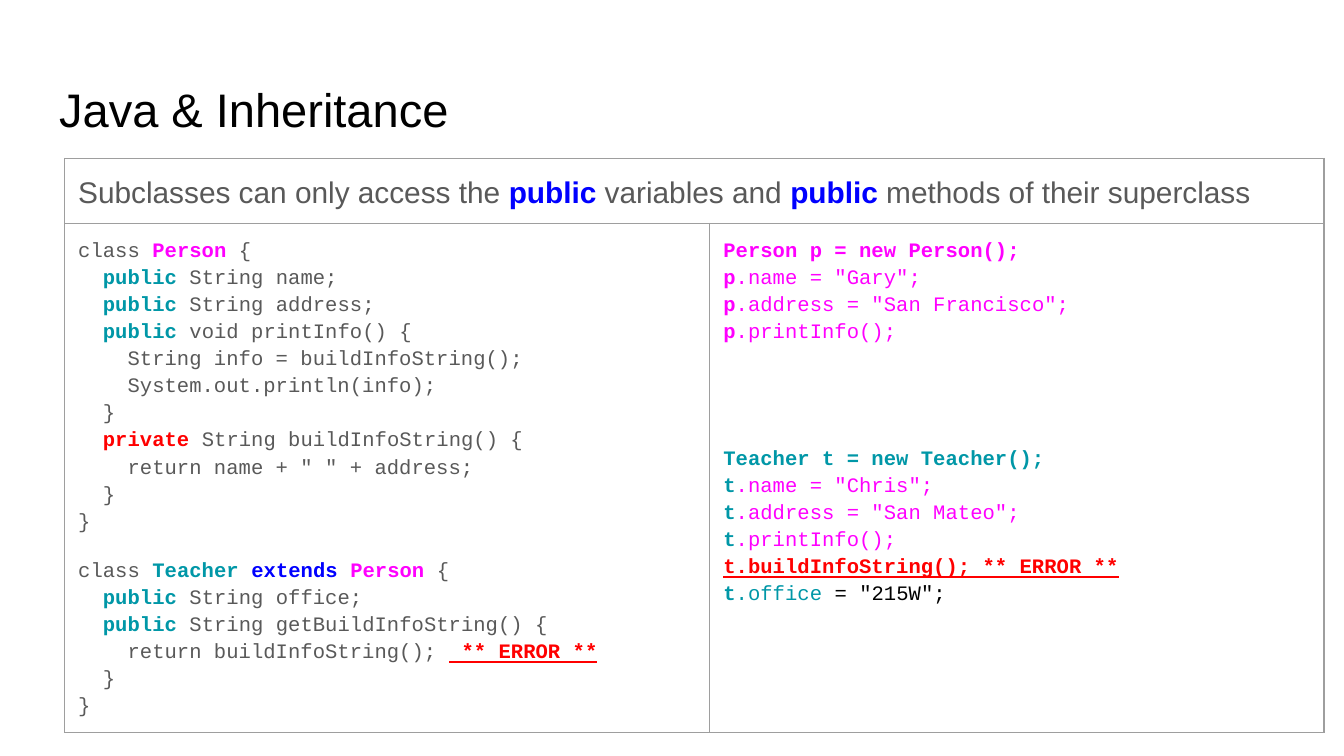
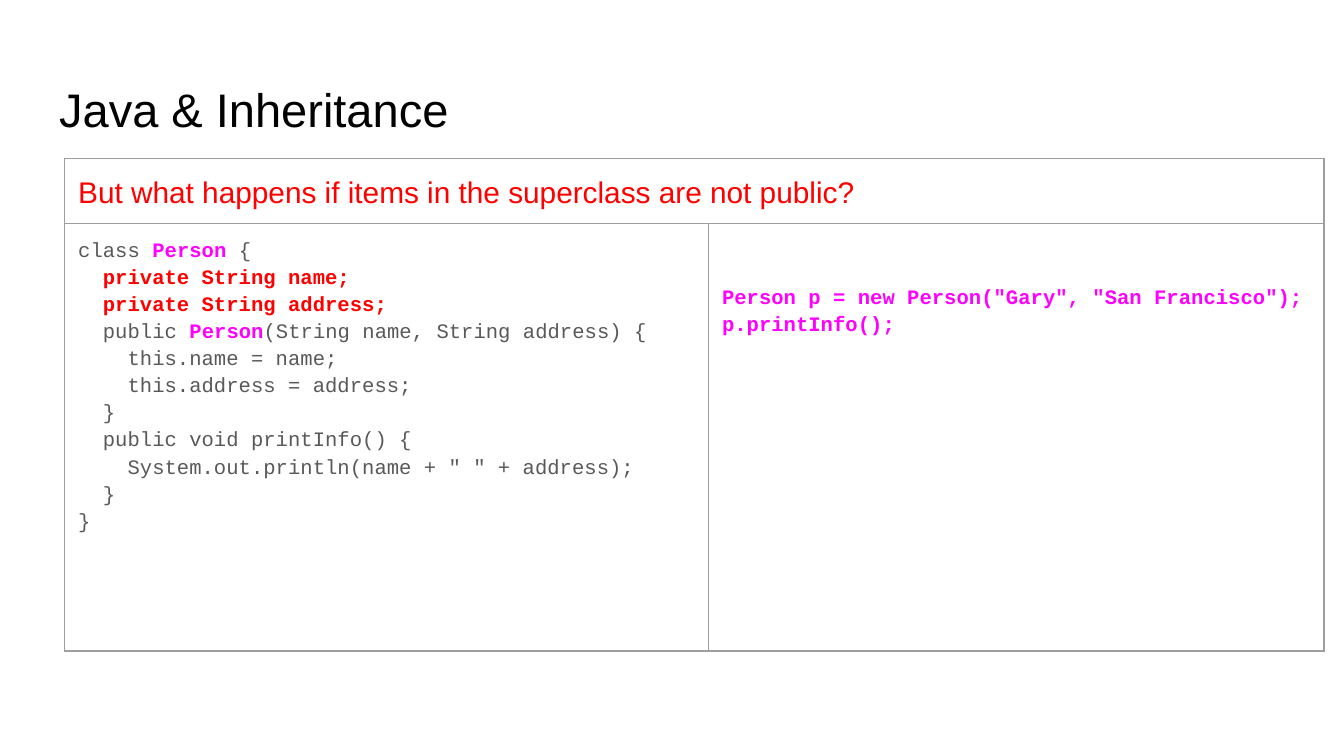
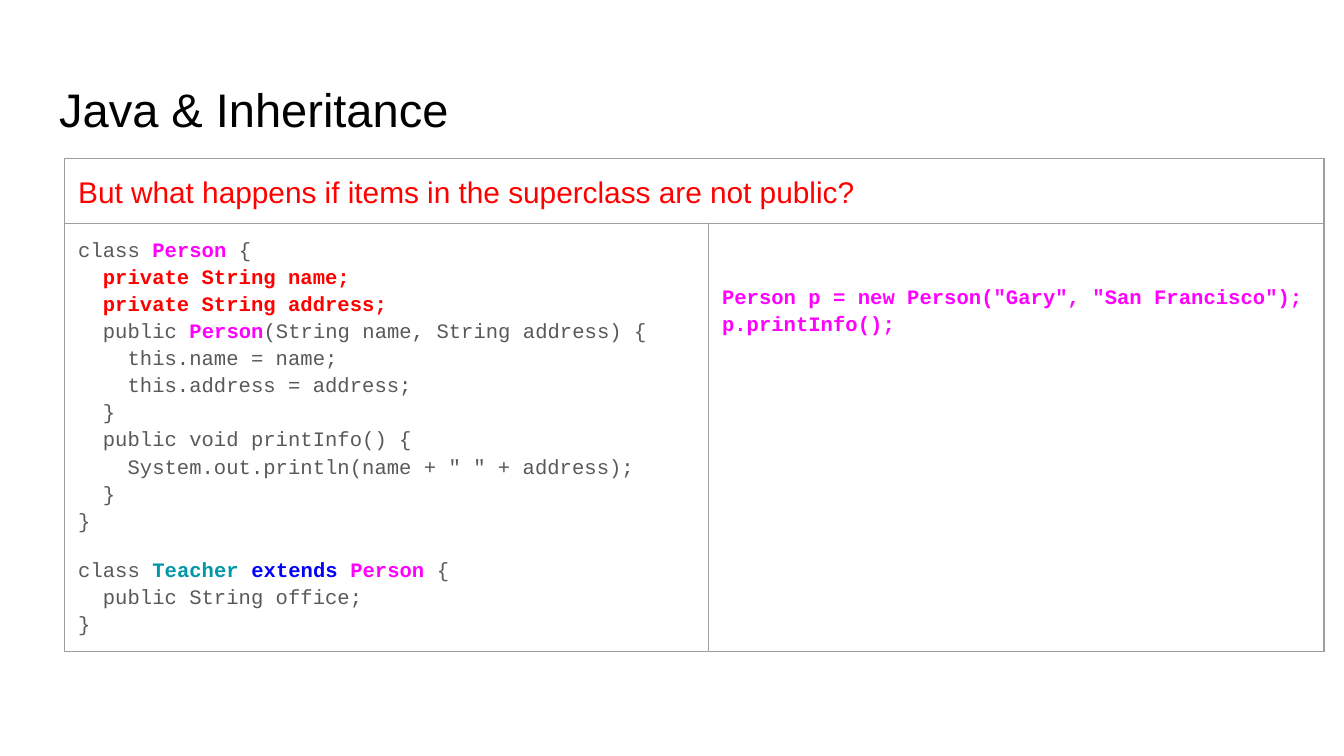
from copy import deepcopy

from lxml import etree
from pptx import Presentation
from pptx.dml.color import RGBColor
from pptx.enum.text import MSO_ANCHOR, MSO_AUTO_SIZE, PP_ALIGN
from pptx.oxml.ns import qn
from pptx.util import Pt

MIDDLE, TOP = MSO_ANCHOR.MIDDLE, MSO_ANCHOR.TOP
LEFT, FIXED = PP_ALIGN.LEFT, MSO_AUTO_SIZE.NONE

# Colours and fonts
GREY = RGBColor(0x59, 0x59, 0x59)
BLUE = RGBColor(0x00, 0x00, 0xFF)
PINK = RGBColor(0xFF, 0x00, 0xFF)
TEAL = RGBColor(0x00, 0x97, 0xA7)
RED = RGBColor(0xFF, 0x00, 0x00)
BLACK = RGBColor(0x00, 0x00, 0x00)
RULE = RGBColor(0x9E, 0x9E, 0x9E)
SANS, MONO = "Arial", "Courier New"
INSET = Pt(7.2)

# Text looks: colour, then bold and underline
LOOKS = {
    "grey": (GREY, {"bold": False}),
    "black": (BLACK, {"bold": False}),
    "red": (RED, {"bold": False}),
    "pink": (PINK, {"bold": False}),
    "teal": (TEAL, {"bold": False}),
    "Blue": (BLUE, {"bold": True}),
    "Pink": (PINK, {"bold": True}),
    "Teal": (TEAL, {"bold": True}),
    "Red": (RED, {"bold": True}),
    "Error": (RED, {"bold": True, "underline": True}),
}


def write(cell, paras, face, size):
    """Fill a cell with (space before, runs) paragraphs."""
    frame = cell.text_frame
    for i, (gap, runs) in enumerate(paras):
        para = frame.paragraphs[0] if i == 0 else frame.add_paragraph()
        para.line_spacing = 1.15
        para.space_before = Pt(gap)
        para.space_after = Pt(12 if i == len(paras) - 1 else 0)
        for look, text in runs:
            color, marks = LOOKS[look]
            for n, line in enumerate(text.split("\n")):
                if n:
                    para.add_line_break()
                    para._p[-1].append(deepcopy(run._r.rPr))
                    if not line:
                        continue
                run = para.add_run()
                run.text = line
                run.font.color.rgb = color
                for key, value in {"name": face, "size": Pt(size), **marks}.items():
                    setattr(run.font, key, value)


def frame_cell(cell):
    """Rule all four sides of a cell and clear its fill."""
    props = cell._tc.get_or_add_tcPr()
    for side in ("lnL", "lnR", "lnT", "lnB"):
        edge = etree.SubElement(props, qn("a:" + side), w=str(Pt(0.75)))
        fill = etree.SubElement(edge, qn("a:solidFill"))
        etree.SubElement(fill, qn("a:srgbClr"), val=str(RULE))
    cell.fill.background()
    for side in ("left", "right", "top", "bottom"):
        setattr(cell, "margin_" + side, INSET)
    cell.vertical_anchor = TOP


# Code on the first slide
open_person = [
    ("grey", "class "), ("Pink", "Person"), ("grey", " {\n  "),
    ("Teal", "public"), ("grey", " String name;\n  "),
    ("Teal", "public"), ("grey", " String address;\n  "),
    ("Teal", "public"),
    ("grey", """ void printInfo() {
    String info = buildInfoString();
    System.out.println(info);
  }
  """),
    ("Red", "private"),
    ("grey", """ String buildInfoString() {
    return name + " " + address;
  }
}"""),
]
extend = [("grey", "class "), ("Teal", "Teacher "), ("Blue", "extends "),
          ("Pink", "Person")]
full_teach = extend + [
    ("grey", " {\n  "), ("Teal", "public"), ("grey", " String office;\n  "),
    ("Teal", "public"),
    ("grey", " String getBuildInfoString() {\n    return buildInfoString(); "),
    ("Error", " ** ERROR **"), ("grey", "\n  }\n}"),
]
use_person = [
    ("Pink", "Person p = new Person();\np"), ("pink", '.name = "Gary";\n'),
    ("Pink", "p"), ("pink", '.address = "San Francisco";\n'),
    ("Pink", "p"), ("pink", ".printInfo();"),
]
use_teach = [
    ("Teal", "Teacher t = new Teacher();\nt"), ("pink", '.name = "Chris";\n'),
    ("Teal", "t"), ("pink", '.address = "San Mateo";\n'),
    ("Teal", "t"), ("pink", ".printInfo();\n"),
    ("Error", "t.buildInfoString(); ** ERROR **\n"),
    ("Teal", "t"), ("teal", ".office"), ("black", ' = "215W";'),
]

# Code on the later slides
shut_person = [
    ("grey", "class "), ("Pink", "Person"), ("grey", " {\n"),
    ("Red", "  private String name;\n  private String address;\n"),
    ("grey", "  public "), ("Pink", "Person"),
    ("grey", """(String name, String address) {
    this.name = name;
    this.address = address;
  }
  public void printInfo() {
    System.out.println(name + " " + address);
  }
}"""),
]
short_teach = extend + [("grey", " {\n  public String office;\n}")]
make_person = [
    ("Pink", 'Person p = new Person("Gary", "San Francisco");\np.printInfo();')]

# Head lines
rule_head = [
    ("grey", "Subclasses can only access the "), ("Blue", "public"),
    ("grey", " variables and "), ("Blue", "public "),
    ("grey", "methods of their superclass"),
]
ask_head = [
    ("red", "But what happens if items in the superclass are not public?")]

# Head, left code, right code, left width, code height, drop of right code
slides = [
    (rule_head, [(0, open_person), (12, full_teach)],
     [(0, use_person), (53.5, use_teach)], 345.6, 251.3, 0),
    (ask_head, [(0, shut_person)], [(0, make_person)], 344.9, 229, 25),
    (ask_head, [(0, shut_person), (12, short_teach)],
     [(0, make_person)], 344.9, 229, 25),
]

deck = Presentation()
deck.slide_width, deck.slide_height = Pt(720), Pt(405)
WIDE, HEAD = 674.6, 20.9

for head, left, right, split, tall, drop in slides:
    slide = deck.slides.add_slide(deck.slide_layouts[5])

    # Title
    title = slide.shapes.title
    for key, value in {"left": 24.5, "top": 35.3, "width": 671, "height": 45.4}.items():
        setattr(title, key, Pt(value))
    frame = title.text_frame
    frame.text = "Java & Inheritance"
    for side in ("left", "right", "top", "bottom"):
        setattr(frame, "margin_" + side, INSET)
    frame.auto_size, frame.vertical_anchor = FIXED, MIDDLE
    para = frame.paragraphs[0]
    para.alignment = LEFT
    font = para.runs[0].font
    font.name, font.size, font.color.rgb = SANS, Pt(25.2), BLACK

    # Table with one head row over two code cells
    table = slide.shapes.add_table(
        2, 2, Pt(34.7), Pt(84.9), Pt(WIDE), Pt(HEAD + tall)).table
    table.first_row = table.horz_banding = False
    for col, width in zip(table.columns, (split, WIDE - split)):
        col.width = Pt(width)
    for row, height in zip(table.rows, (HEAD, tall)):
        row.height = Pt(height)
    for cell in table.iter_cells():
        frame_cell(cell)
    table.cell(0, 0).merge(table.cell(0, 1))
    write(table.cell(0, 0), [(0, head)], SANS, 16)
    write(table.cell(1, 0), left, MONO, 11)
    write(table.cell(1, 1), right, MONO, 11)
    table.cell(1, 1).margin_top = INSET + Pt(drop)

deck.save("out.pptx")
